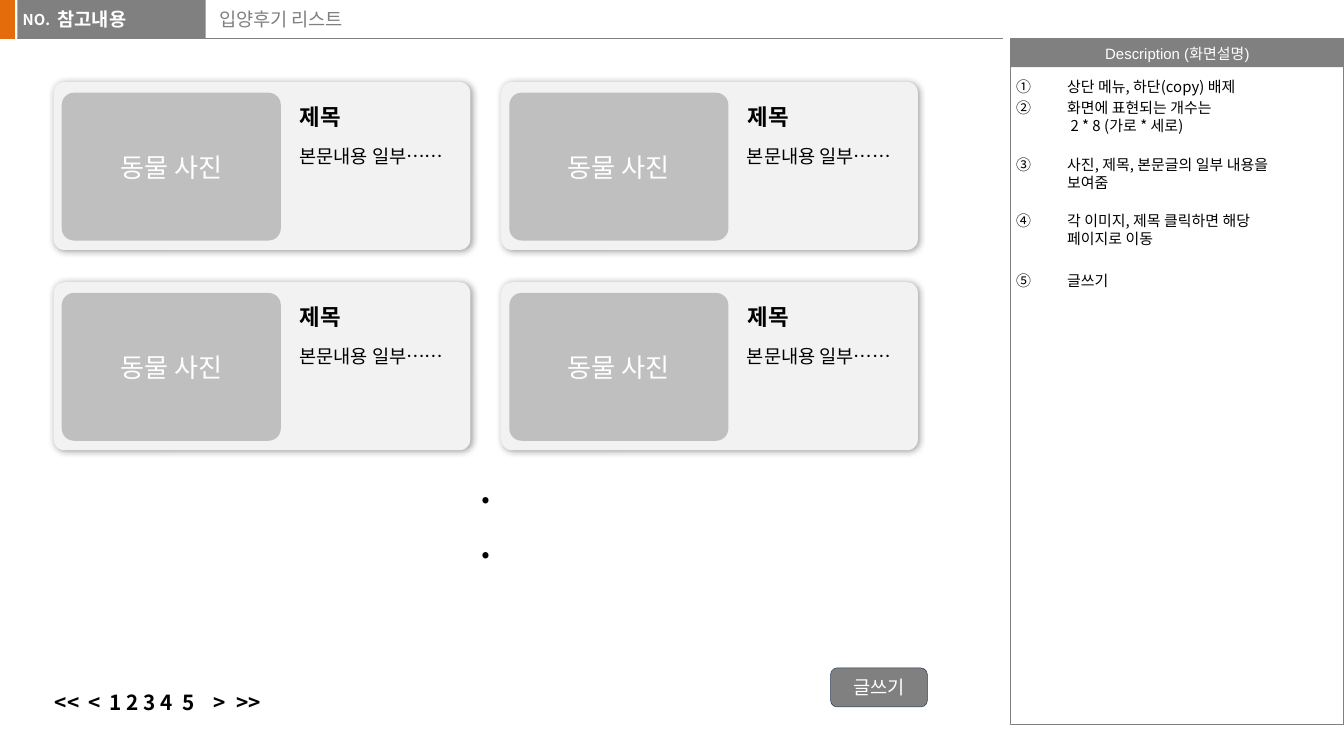
from lxml import etree
from pptx import Presentation
from pptx import util as u
from pptx.dml.color import RGBColor
from pptx.enum import shapes, text
from pptx.oxml import ns

KOREAN = "Noto Sans CJK KR"
GREY = "808080"
RECT = shapes.MSO_SHAPE.RECTANGLE
ROUND = shapes.MSO_SHAPE.ROUNDED_RECTANGLE
CENTER, LEFT = text.PP_ALIGN.CENTER, text.PP_ALIGN.LEFT
TOP, MIDDLE = text.MSO_ANCHOR.TOP, text.MSO_ANCHOR.MIDDLE


def rgb(hex_code):
    """Turn a hex string into a colour."""
    return RGBColor.from_string(hex_code)


def sub(parent, tag, **attributes):
    """Append a DrawingML child element."""
    child = etree.SubElement(parent, ns.qn(tag))
    for name, value in attributes.items():
        child.set(name, str(value))
    return child


def write(holder, lines, size=10, color="000000", bold=False, font=KOREAN,
          align=LEFT, anchor=TOP, insets=(0.1, 0.05, 0.1, 0.05), wrap=True,
          before=(), spacing=None):
    """Fill a text holder with one paragraph per line and format it."""
    frame = holder.text_frame
    frame.auto_size = text.MSO_AUTO_SIZE.NONE
    frame.word_wrap = wrap
    frame.vertical_anchor = anchor
    (frame.margin_left, frame.margin_top,
     frame.margin_right, frame.margin_bottom) = map(u.Inches, insets)
    frame.text = "\n".join(lines)
    for index, paragraph in enumerate(frame.paragraphs):
        paragraph.alignment = align
        paragraph.space_before = u.Pt(before[index] if before else 0)
        if spacing:
            paragraph.line_spacing = spacing
        for run in paragraph.runs:
            run.font.size, run.font.bold = u.Pt(size), bold
            run.font.name = font
            run.font.color.rgb = rgb(color)
            sub(run.font._element, "a:ea", typeface=KOREAN)
    return frame


def add_label(parent, box, lines, **style):
    """Add a text box."""
    label = parent.add_textbox(*map(u.Inches, box))
    return write(label, lines, **style)


def add_block(parent, box, fill=None, line=None, width=0.75, kind=RECT, corner=None):
    """Add a flat preset shape."""
    block = parent.add_shape(kind, *map(u.Inches, box))
    block.shadow.inherit = False
    if corner is not None:
        block.adjustments[0] = corner
    if fill:
        block.fill.solid()
        block.fill.fore_color.rgb = rgb(fill)
    else:
        block.fill.background()
    if line:
        block.line.color.rgb = rgb(line)
        block.line.width = u.Pt(width)
    else:
        block.line.fill.background()
    return block


def add_soft_shadow(block):
    """Cast a soft shadow to the lower right."""
    effects = block._element.spPr.find(ns.qn("a:effectLst"))
    shadow = sub(effects, "a:outerShdw", blurRad=u.Pt(4), dist=u.Pt(1),
                 dir=45 * 60000, algn="tl", rotWithShape=0)
    sub(sub(shadow, "a:srgbClr", val="000000"), "a:alpha", val=40000)


def add_rule(parent, start, end, color, width):
    """Add a straight line without a shadow."""
    rule = parent.add_connector(shapes.MSO_CONNECTOR.STRAIGHT,
                                *map(u.Inches, start + end))
    rule.line.color.rgb = rgb(color)
    rule.line.width = u.Pt(width)
    sub(rule._element.spPr, "a:effectLst")


def add_header(slide):
    """Build the top bar with the page title."""
    parts = slide.shapes
    add_block(parts, (-0.01, 0, 0.12, 0.29), "E46C0A")
    add_rule(parts, (0.13, 0.29), (7.46, 0.29), GREY, 0.5)
    add_block(parts, (0.13, 0, 1.4, 0.29), GREY)
    add_label(parts, (0.07, 0.03, 0.41, 0.24), ["NO."], size=8,
              color="FFFFFF", bold=True, wrap=False)
    add_label(parts, (0.43, 0.01, 0.87, 0.31), ["참고내용"], color="FFFFFF",
              bold=True, font="Arial", insets=(0, 0.05, 0, 0.05))
    title = slide.shapes.title
    title.left, title.top, title.width, title.height = map(
        u.Inches, (1.54, 0.02, 5.91, 0.32))
    write(title, ["입양후기 리스트"], color=GREY, insets=(0.09, 0.04, 0.09, 0.04))


def add_description(parts):
    """Build the numbered description panel."""
    heading = add_block(parts, (7.52, 0.29, 2.48, 0.21), GREY)
    write(heading, ["Description (화면설명)"], size=8, color="FFFFFF",
          font="Arial", align=CENTER, anchor=MIDDLE, wrap=False)
    add_block(parts, (7.52, 0.29, 2.48, 5.1), line=GREY)
    notes = [
        "상단 메뉴, 하단(copy) 배제",
        "화면에 표현되는 개수는 \v 2 * 8 (가로 * 세로)",
        "사진, 제목, 본문글의 일부 내용을 \v보여줌",
        "각 이미지, 제목 클릭하면 해당 \v페이지로 이동",
        "글쓰기",
    ]
    frame = add_label(parts, (7.52, 0.53, 2.48, 4.88), notes, size=8,
                      insets=(0.04, 0.05, 0, 0.05), spacing=u.Pt(9.6),
                      before=(0, 1.6, 11, 11, 12.8))
    for paragraph in frame.paragraphs:
        properties = paragraph._p.get_or_add_pPr()
        properties.set("marL", str(u.Inches(0.38)))
        properties.set("indent", str(u.Inches(-0.38)))
        sub(properties, "a:buFont", typeface=KOREAN)
        sub(properties, "a:buAutoNum", type="circleNumDbPlain")


def add_card(parts, left, top):
    """Build one review card as a group."""
    card = parts.add_group_shape().shapes
    panel = add_block(card, (left, top, 3.1, 1.25), "F2F2F2", kind=ROUND, corner=0.064)
    add_soft_shadow(panel)
    photo = add_block(card, (left + 0.06, top + 0.08, 1.63, 1.1), "BFBFBF",
                      kind=ROUND, corner=0.083)
    write(photo, ["동물 사진"], size=14, color="FFFFFF", align=CENTER, anchor=MIDDLE)
    add_label(card, (left + 1.27, top + 0.11, 1.43, 0.3), ["제목"], size=12,
              bold=True, align=CENTER)
    add_label(card, (left + 1.73, top + 0.42, 1.53, 0.27), ["본문내용 일부……"])


def add_pager(parts):
    """Build the page navigation with tab stops."""
    frame = add_label(parts, (0.31, 5.08, 5.68, 0.28),
                      ["<<\t<\t1 2 3 4\t5\t>\t>>"], size=11.1, bold=True)
    stops = sub(frame.paragraphs[0]._p.get_or_add_pPr(), "a:tabLst")
    for position in (0.25, 0.41, 0.95, 1.18, 1.35):
        sub(stops, "a:tab", pos=u.Inches(position), algn="l")


def main():
    """Build and save the slide."""
    deck = Presentation()
    deck.slide_width = u.Inches(10)
    deck.slide_height = deck.slide_width * 9 // 16
    slide = deck.slides.add_slide(deck.slide_layouts[5])
    parts = slide.shapes
    add_header(slide)
    add_description(parts)
    for row in range(2):
        for column in range(2):
            add_card(parts, 0.4 + 3.33 * column, 0.61 + 1.49 * row)
    add_label(parts, (0.76, 3.48, 5.71, 0.61), [".", "."], size=18, bold=True,
              align=CENTER, spacing=0.9, before=(0, 10))
    add_pager(parts)
    button = add_block(parts, (6.18, 4.97, 0.72, 0.29), GREY, "233953", 0.25, ROUND)
    write(button, ["글쓰기"], color="FFFFFF", align=CENTER, anchor=MIDDLE)
    deck.save("out.pptx")


main()
